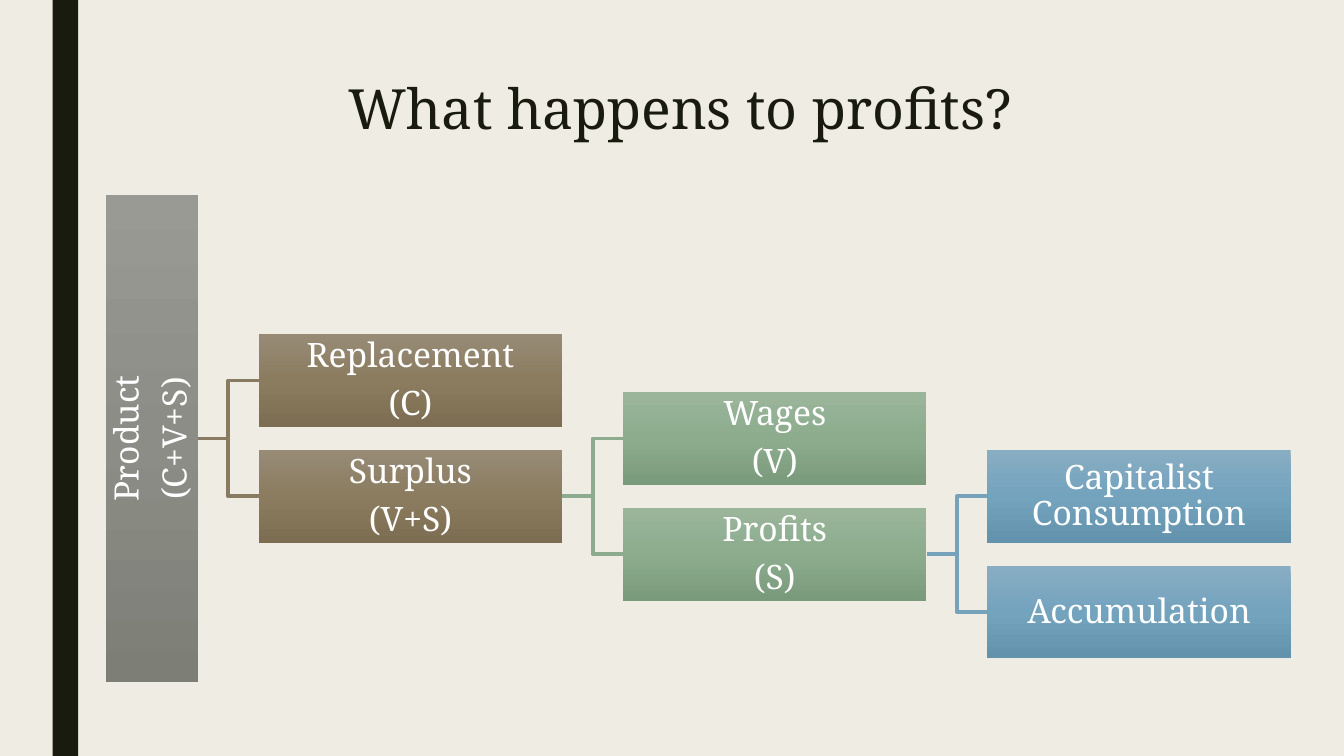
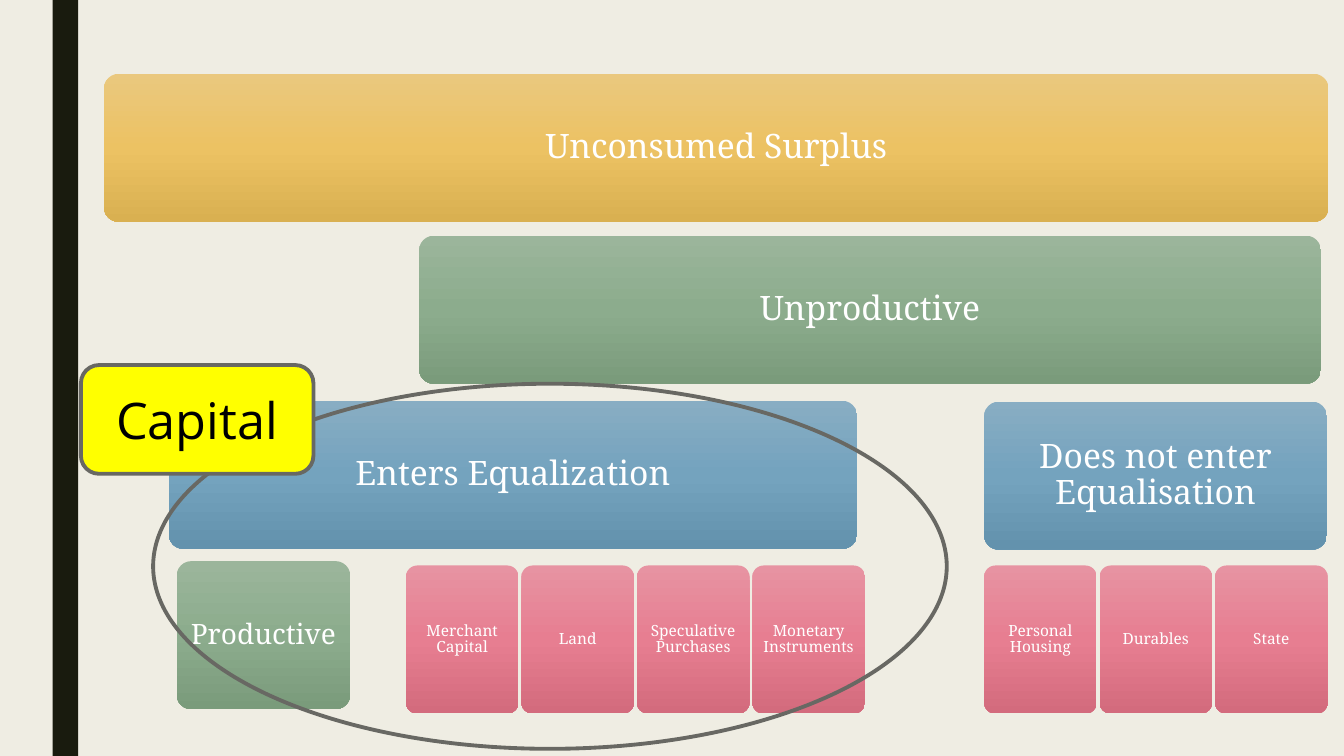
"""Two slides on how profits and the unconsumed surplus are divided."""
from copy import deepcopy
from dataclasses import dataclass

from pptx import Presentation
from pptx import util as u
from pptx.dml import color as c
from pptx.enum import shapes, text
from pptx.oxml import ns

COLORS = {"paper": "EFEDE3", "ink": "191B0E", "white": "FFFFFF", "black": "000000",
          "outline": "686863", "callout": "FFFF00",
          "brown": "897B61", "green": "8DAB8E", "blue": "77A2BB"}
GRADIENTS = {"grey": ("999A94", "8C8D86", "7D7E76"),
             "brown": ("978B76", "8B7C5F", "7D6E53"),
             "green": ("9BB59B", "8CAC8D", "7A9B7B"),
             "blue": ("88ADC3", "74A3BE", "6392AD"),
             "gold": ("EAC87E", "ECC263", "D9B051"),
             "pink": ("E793A2", "E77E91", "D36B7D")}
SERIF, SANS = "Noto Serif", "Open Sans"
WIDTH, HEIGHT = 33.87, 19.05
LINE_PT = 2.75
RECT = shapes.MSO_SHAPE.RECTANGLE
ROUND = shapes.MSO_SHAPE.ROUNDED_RECTANGLE


@dataclass
class Box:
    """A gradient box with centred text; lengths in cm."""
    lines: tuple[str, ...]
    x: float
    y: float
    w: float
    h: float
    gradient: str
    size: float = 24
    inset: float = 0.25
    kind: int = ROUND


@dataclass
class Level:
    """One pair of branches in the profit tree."""
    color: str
    upper: tuple[str, ...]
    lower: tuple[str, ...]


def rgb(name: str) -> c.RGBColor:
    """Look up a named colour."""
    return c.RGBColor.from_string(COLORS[name])


def set_all(obj, values: dict) -> None:
    """Set every attribute in values on obj."""
    for name, value in values.items():
        setattr(obj, name, value)


def write(tf, lines: tuple[str, ...], size: float, color: str, font: str = SERIF,
          inset: float = 0.25, **para) -> None:
    """Fill a text frame with centred paragraphs."""
    pad = u.Cm(inset)
    set_all(tf, {"word_wrap": True, "vertical_anchor": text.MSO_ANCHOR.MIDDLE,
                 "margin_left": pad, "margin_right": pad,
                 "margin_top": pad, "margin_bottom": pad})
    for i, line in enumerate(lines):
        p = tf.add_paragraph() if i else tf.paragraphs[0]
        set_all(p, {"alignment": text.PP_ALIGN.CENTER, **para})
        r = p.add_run()
        r.text = line
        set_all(r.font, {"name": font, "size": u.Pt(size)})
        r.font.color.rgb = rgb(color)


def add_plain(s, kind: int, x: float, y: float, w: float, h: float,
              fill: str = "", line: str = ""):
    """Add a preset shape with an optional solid fill and outline."""
    sp = s.shapes.add_shape(kind, u.Cm(x), u.Cm(y), u.Cm(w), u.Cm(h))
    style(sp, fill, line)
    return sp


def style(sp, fill: str = "", line: str = "") -> None:
    """Set fill and outline, and switch the shadow off."""
    sp.shadow.inherit = False
    if fill:
        sp.fill.solid()
        sp.fill.fore_color.rgb = rgb(fill)
    else:
        sp.fill.background()
    if line:
        sp.line.color.rgb = rgb(line)
        sp.line.width = u.Pt(LINE_PT)
    else:
        sp.line.fill.background()


def shade(sp, name: str) -> None:
    """Give a shape a three-stop gradient from top to bottom."""
    sp.fill.gradient()
    sp.fill.gradient_angle = 270
    stops = sp._element.spPr.find(".//" + ns.qn("a:gsLst"))
    stops.append(deepcopy(stops[-1]))
    for i, (stop, value) in enumerate(zip(sp.fill.gradient_stops, GRADIENTS[name])):
        stop.position = i / 2
        stop.color.rgb = c.RGBColor.from_string(value)


def add_box(s, box: Box):
    """Draw one gradient box with its text."""
    sp = add_plain(s, box.kind, box.x, box.y, box.w, box.h)
    if box.kind == ROUND:
        sp.adjustments[0] = 0.1
    shade(sp, box.gradient)
    write(sp.text_frame, box.lines, box.size, "white", inset=box.inset,
          line_spacing=0.9, space_after=u.Pt(0.35 * box.size))
    return sp


def add_elbow(s, x: float, y: float, w: float, dy: float, color: str) -> None:
    """Draw a right-angled branch line from (x, y)."""
    points = [(x + w / 2, y), (x + w / 2, y + dy), (x + w, y + dy)]
    fb = s.shapes.build_freeform(u.Cm(x), u.Cm(y))
    fb.add_line_segments([(u.Cm(px), u.Cm(py)) for px, py in points], close=False)
    style(fb.convert_to_shape(), line=color)


def new_slide(prs):
    """Add a blank slide with the shared background and side band."""
    s = prs.slides.add_slide(prs.slide_layouts[6])
    s.background.fill.solid()
    s.background.fill.fore_color.rgb = rgb("paper")
    add_plain(s, RECT, 1.33, 0, 0.64, HEIGHT, fill="ink")
    return s


def add_title(s, title: str) -> None:
    """Add the slide title."""
    sp = s.shapes.add_textbox(u.Cm(3.81), u.Cm(1.9), u.Cm(26.67), u.Cm(1.83))
    write(sp.text_frame, (title,), 39.6, "ink", inset=0.13, line_spacing=0.89)


def profits_slide(prs) -> None:
    """Draw the tree that splits the product."""
    s = new_slide(prs)
    add_title(s, "What happens to profits?")
    levels = [Level("brown", ("Replacement", "(C)"), ("Surplus", "(V+S)")),
              Level("green", ("Wages", "(V)"), ("Profits", "(S)")),
              Level("blue", ("Capitalist Consumption",), ("Accumulation",))]
    box_w, box_h, gap, half = 7.65, 2.33, 1.53, 1.46
    root_x, root_len, center = 2.66, 12.27, 11.05
    root = add_box(s, Box(("Product", "(C+V+S)"), root_x, center - root_len / 2,
                          box_h, root_len, "grey", inset=0.05, kind=RECT))
    root.text_frame._txBody.bodyPr.set("vert", "vert270")
    right = root_x + box_h
    for level in levels:
        for lines, dy in ((level.upper, -half), (level.lower, half)):
            add_elbow(s, right, center, gap, dy, level.color)
            add_box(s, Box(lines, right + gap, center + dy - box_h / 2, box_w, box_h,
                           level.color, inset=0.05, kind=RECT))
        right += gap + box_w
        center += half


def surplus_slide(prs) -> None:
    """Draw the layers of the unconsumed surplus and mark capital."""
    s = new_slide(prs)
    tall, leaf_w, leaf_pitch, leaf_y = 3.73, 2.84, 2.91, 14.25
    boxes = [Box(("Unconsumed Surplus",), 2.62, 1.86, 30.86, tall, "gold"),
             Box(("Productive",), 4.45, 14.14, 4.38, tall, "green", 20, 0.2),
             Box(("Unproductive",), 10.56, 5.94, 22.73, tall, "green"),
             Box(("Enters Equalization",), 4.25, 10.1, 17.35, tall, "blue"),
             Box(("Does not enter Equalisation",), 24.8, 10.12, 8.64, tall, "blue")]
    leaves = {10.23: ("Merchant Capital", "Land", "Speculative Purchases",
                      "Monetary Instruments"),
              24.8: ("Personal Housing", "Durables", "State")}
    boxes += [Box((label,), x + i * leaf_pitch, leaf_y, leaf_w, tall, "pink", 11, 0.12)
              for x, labels in leaves.items() for i, label in enumerate(labels)]
    for box in boxes:
        add_box(s, box)
    add_plain(s, shapes.MSO_SHAPE.OVAL, 3.86, 9.67, 20, 9.2, line="outline")
    sp = add_plain(s, ROUND, 2.04, 9.2, 5.86, 2.74, "callout", "outline")
    write(sp.text_frame, ("Capital",), 36, "black", SANS, inset=0.13)


def main() -> None:
    """Build and save the presentation."""
    prs = Presentation()
    set_all(prs, {"slide_width": u.Cm(WIDTH), "slide_height": u.Cm(HEIGHT)})
    profits_slide(prs)
    surplus_slide(prs)
    prs.save("out.pptx")


main()
